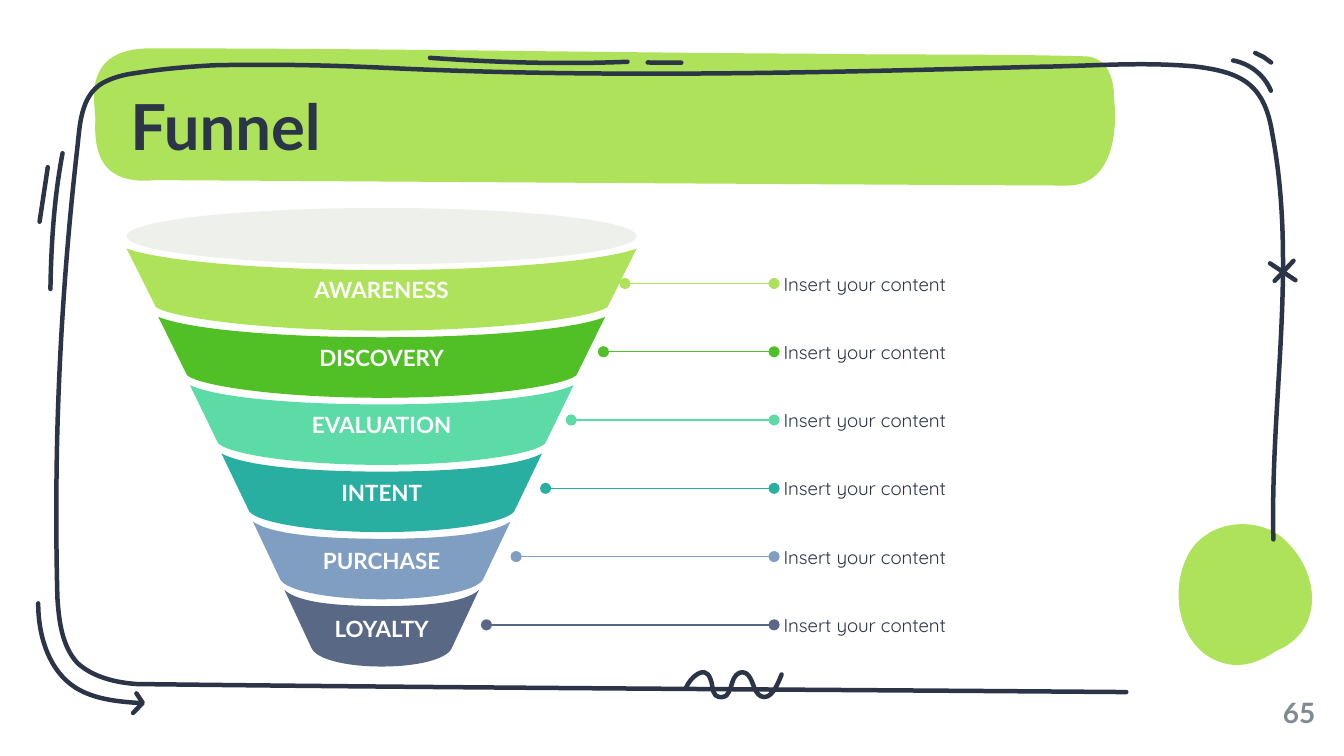
from lxml import etree
from pptx import Presentation
from pptx.dml.color import RGBColor
from pptx.enum.shapes import MSO_CONNECTOR as CONNECTOR, MSO_SHAPE as SHAPE
from pptx.enum.text import MSO_ANCHOR as ANCHOR, MSO_AUTO_SIZE as AUTO_SIZE, PP_ALIGN as ALIGN
from pptx.oxml.ns import qn
from pptx.util import Pt

COLOURS = {"ink": "2B3547", "lime": "AEE25A", "green": "51C026", "mint": "5DDBA7",
           "teal": "29AFA2", "blue": "809DC2", "slate": "596885", "rim": "EDF0EB",
           "grey": "7F8B91", "white": "FFFFFF"}

# Stage name, colour, x where its leader line starts
STAGES = [("AWARENESS", "lime", 334.8), ("DISCOVERY", "green", 323.3),
          ("EVALUATION", "mint", 306), ("INTENT", "teal", 292.3),
          ("PURCHASE", "blue", 276.5), ("LOYALTY", "slate", 260.6)]
STAGE_STEP = 36.57
FUNNEL_X = 204.5
UNITS = 100  # outline units per point

# Curves hold a start point, then two control points and an end point per segment
CIRCLE = [(696.2, 298.1), (687.6, 280.8), (661, 274.3), (645.1, 288),
          (627.1, 303.8), (623.5, 341.3), (649.4, 352.8),
          (658.1, 356.4), (666.7, 355), (675.4, 352.1),
          (702, 348.5), (708.5, 319.7), (696.2, 298.1)]
BANNER = [(596.9, 53.3), (596.9, 41.8), (593.3, 31), (581.8, 30.2),
          (533.5, 28.8), (486, 29.5), (437.8, 28.8),
          (313.2, 28.1), (205.2, 25.9), (80.6, 25.9),
          (43.2, 25.9), (51.1, 55.4), (51.1, 64.1),
          (49.7, 90), (61.2, 98.6), (83.5, 96.5),
          (250, 97.5), (400, 98.6), (571.7, 99.4),
          (594.7, 99.4), (599, 73.4), (596.9, 53.3)]
FRAME = [(603.4, 370.8), (427, 369.4), (249.8, 368.6), (73.4, 366.5),
         (62.6, 365.8), (50, 363), (41.5, 355.2),
         (33, 346), (31.6, 332), (30.8, 320.4),
         (30, 291.6), (30, 262.8), (30.7, 234),
         (32, 182.2), (35.6, 131), (41.4, 79.9),
         (42.8, 67.7), (43, 51.5), (55, 44.5),
         (60.5, 41.5), (66.5, 40), (72.5, 39.2),
         (86, 37), (100.4, 35.8), (114.4, 35),
         (143.6, 34.3), (173.5, 34.9), (203, 36.2),
         (320, 42), (438, 39), (556, 35.8),
         (584, 35.5), (611, 33), (640, 35.6),
         (664, 38.6), (677.5, 44), (681.7, 72),
         (695, 143), (680.5, 215.3), (682.2, 289)]
SQUIGGLE = [(367.6, 368.3), (369.7, 363.2), (377.6, 355.7), (380.5, 363.6),
            (382, 366.5), (381.2, 370.4), (383.4, 372.6),
            (385.2, 374), (387.7, 373.7), (389.2, 372.6),
            (391.7, 369.7), (391.7, 366.5), (393.1, 363.6),
            (394.6, 360.7), (397.1, 359.3), (399.6, 360.7),
            (403.6, 363.2), (403.2, 370.4), (407.5, 373),
            (413.3, 375.8), (416.9, 365.8), (418.7, 361.4)]
ARROW_SHAFT = [(20.5, 323.3), (20.5, 342), (27, 360), (40.5, 368.4),
               (50, 374.5), (63, 376), (75.6, 376.7)]
LEFT_DASH = [(33.5, 82.1), (29, 105.8), (27.4, 130.3), (27, 154.8)]
TOP_DASH = [(230.4, 31), (265.7, 33.5), (301, 34.6), (336.2, 33.1)]
CORNER_DASH = [(660.6, 32.4), (669.6, 34.2), (677.2, 40), (680.8, 48.6)]
PEN_CURVES = [FRAME, LEFT_DASH, TOP_DASH, CORNER_DASH, ARROW_SHAFT, SQUIGGLE]
PEN_LINES = [[(25.6, 89.6), (21.2, 118.8)],
             [(347, 33.5), (365, 33.6)],
             [(672.5, 28.4), (677, 30.6), (681, 33.5)],
             [(73.1, 371.5), (76.5, 376.6), (71.3, 382)],
             [(680.4, 141.1), (694, 150.1)],
             [(693, 139.7), (682.9, 150.5)]]


def rgb(name):
    return RGBColor.from_string(COLOURS[name])


def curve_bounds(curve, steps=16):
    """Return left, top, right, bottom of a chain of cubic curves."""
    points = []
    for i in range(0, len(curve) - 1, 3):
        for t in (k / steps for k in range(steps + 1)):
            weights = ((1 - t) ** 3, 3 * t * (1 - t) ** 2, 3 * t * t * (1 - t), t ** 3)
            points.append([sum(w * p[axis] for w, p in zip(weights, curve[i:i + 4]))
                           for axis in (0, 1)])
    xs, ys = zip(*points)
    return min(xs), min(ys), max(xs), max(ys)


def add_outline(page, points, closed=False):
    units = [(round(x * UNITS), round(y * UNITS)) for x, y in points]
    builder = page.shapes.build_freeform(*units[0], scale=Pt(1) / UNITS)
    builder.add_line_segments(units[1:], close=closed)
    shape = builder.convert_to_shape()
    shape.shadow.inherit = False
    return shape


def add_curve(page, curve, closed=False):
    """Add an outline whose segments are cubic curves, boxed by the curve itself."""
    shape = add_outline(page, curve, closed)
    left, top, right, bottom = curve_bounds(curve)
    shift = {"x": left - min(x for x, _ in curve), "y": top - min(y for _, y in curve)}
    shape.left, shape.top = Pt(left), Pt(top)
    shape.width, shape.height = Pt(right - left), Pt(bottom - top)
    outline = next(shape._element.iter(qn("a:path")))
    outline.set("w", str(round((right - left) * UNITS)))
    outline.set("h", str(round((bottom - top) * UNITS)))
    for point in outline.iter(qn("a:pt")):
        for axis, offset in shift.items():
            point.set(axis, str(int(point.get(axis)) - round(offset * UNITS)))
    segments = outline.findall(qn("a:lnTo"))
    for i in range(0, len(segments), 3):
        cubic = etree.Element(qn("a:cubicBezTo"))
        segments[i].addprevious(cubic)
        for segment in segments[i:i + 3]:
            cubic.append(segment[0])
            outline.remove(segment)
    return shape


def paint(shape, colour):
    shape.fill.solid()
    shape.fill.fore_color.rgb = rgb(colour)
    shape.line.fill.background()


def add_blob(page, curve, colour):
    shape = add_curve(page, curve, True)
    paint(shape, colour)
    return shape


def ink_stroke(shape):
    shape.fill.background()
    shape.line.color.rgb = rgb("ink")
    shape.line.width = Pt(2.4)
    line = shape.line._get_or_add_ln()
    line.set("cap", "rnd")
    etree.SubElement(line, qn("a:round"))


def write(box, text, colour, size, font="Lato", bold=True, align=ALIGN.LEFT, inset=0):
    frame = box.text_frame
    settings = {"word_wrap": True, "auto_size": AUTO_SIZE.NONE,
                "vertical_anchor": ANCHOR.MIDDLE,
                "margin_left": Pt(inset), "margin_right": Pt(inset),
                "margin_top": Pt(inset / 2), "margin_bottom": Pt(inset / 2)}
    for name, value in settings.items():
        setattr(frame, name, value)
    para = frame.paragraphs[0]
    para.alignment = align
    span = para.add_run()
    span.text = text
    for name, value in {"name": font, "size": Pt(size), "bold": bold}.items():
        setattr(span.font, name, value)
    span.font.color.rgb = rgb(colour)
    return para


def add_text(page, left, top, width, height, text, colour, size, **style):
    box = page.shapes.add_textbox(Pt(left), Pt(top), Pt(width), Pt(height))
    write(box, text, colour, size, **style)


def add_band(page, index, text, colour):
    """Draw one funnel stage: the left half of each edge is mirrored to the right."""
    top, half_top = 133.2 + STAGE_STEP * index, 136.6 - 16.9 * index
    corner, half_bottom = top + 31.3, 121 - 16.7 * index

    def edge(half, y, control_y, sag, outer, inner):
        left = [(-half, y), (-half * outer, control_y), (-half * inner, sag), (0, sag)]
        right = [(-x, y) for x, y in left[-2::-1]]
        return [(FUNNEL_X + x, y) for x, y in left + right]

    upper = edge(half_top, top, top + 7.2, 144.7 + 36 * index, 0.85, 0.42)
    lower = edge(half_bottom, corner, corner + 5.8, 177.1 + 36 * index, 0.93, 0.52)[::-1]
    band = add_blob(page, upper + [upper[-1], lower[0]] + lower, colour)
    write(band, text, "white", 12, align=ALIGN.CENTER, inset=5)


def add_leader(page, start, end, y, colour):
    leader = page.shapes.add_connector(CONNECTOR.STRAIGHT, Pt(start), Pt(y), Pt(end), Pt(y))
    leader.line.color.rgb = rgb(colour)
    leader.line.width = Pt(0.75)
    line = leader.line._get_or_add_ln()
    for end_name in ("a:headEnd", "a:tailEnd"):
        etree.SubElement(line, qn(end_name), type="oval")
    etree.SubElement(leader._element.spPr, qn("a:effectLst"))


def add_title(page, text):
    title = page.shapes.title
    title.element.getparent().append(title.element)  # bring in front of the banner
    for name, value in {"left": 69.8, "top": 54, "width": 506, "height": 31}.items():
        setattr(title, name, Pt(value))
    write(title, text, "ink", 34).line_spacing = 0.9


def add_funnel(page):
    for i, (name, colour, leader_x) in enumerate(STAGES):
        drop = STAGE_STEP * i
        add_band(page, i, name, colour)
        add_leader(page, leader_x, 414.7, 151.9 + drop, colour)
        add_text(page, 419.8, 139 + drop, 211, 26, "Insert your content", "ink", 10,
                 font="Quicksand", bold=False)
    rim = page.shapes.add_shape(SHAPE.OVAL, Pt(67.9), Pt(111.4), Pt(273.2), Pt(30.2))
    rim.shadow.inherit = False
    paint(rim, "rim")


def main():
    deck = Presentation()
    deck.slide_width, deck.slide_height = Pt(720), Pt(405)
    page = deck.slides.add_slide(deck.slide_layouts[5])
    add_blob(page, CIRCLE, "lime").rotation = 345.3
    add_blob(page, BANNER, "lime")
    for curve in PEN_CURVES:
        ink_stroke(add_curve(page, curve))
    for points in PEN_LINES:
        ink_stroke(add_outline(page, points))
    add_title(page, "Funnel")
    add_text(page, 661.7, 369.4, 43, 24, "65", "grey", 15, align=ALIGN.RIGHT)
    add_funnel(page)
    deck.save("out.pptx")


if __name__ == "__main__":
    main()
